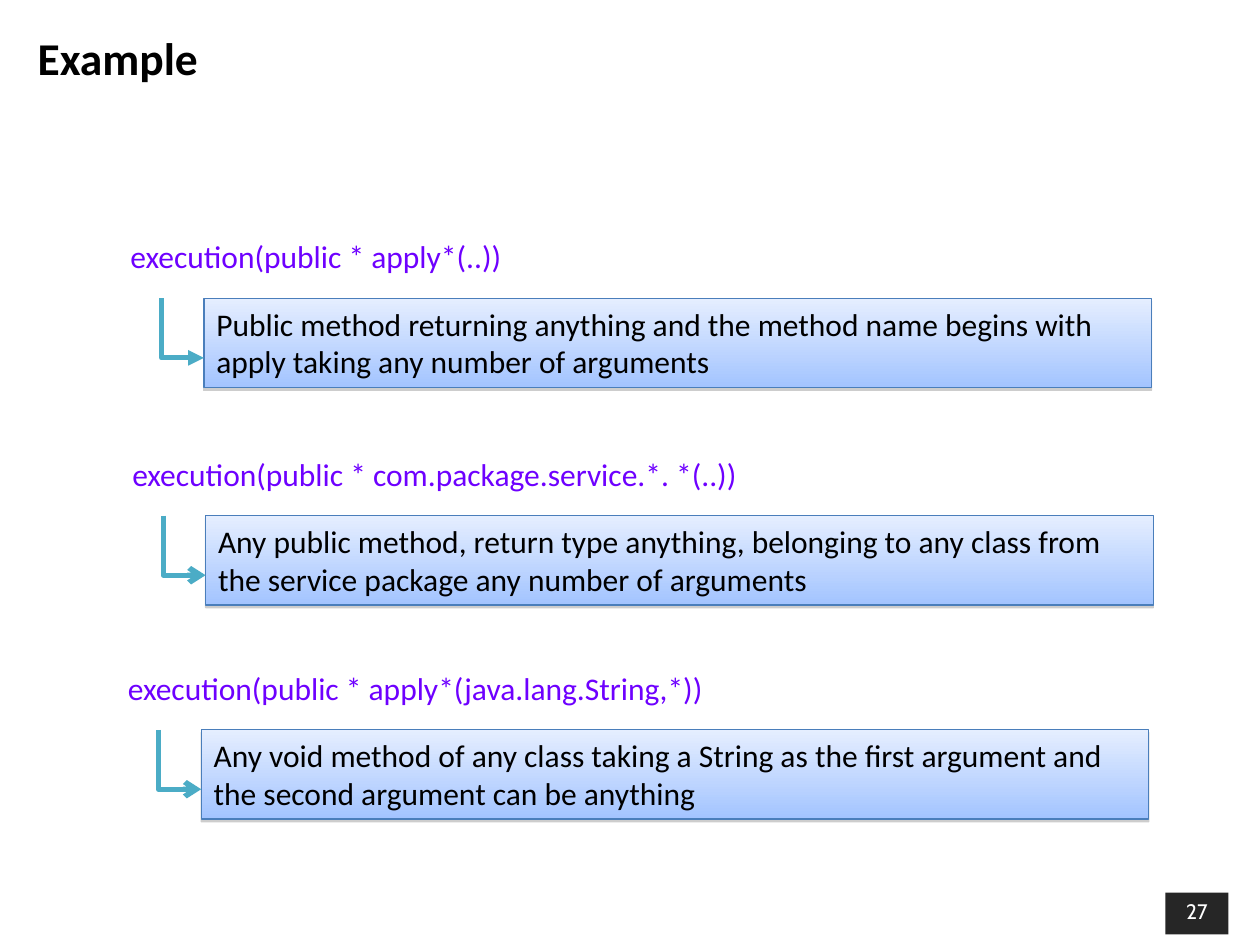
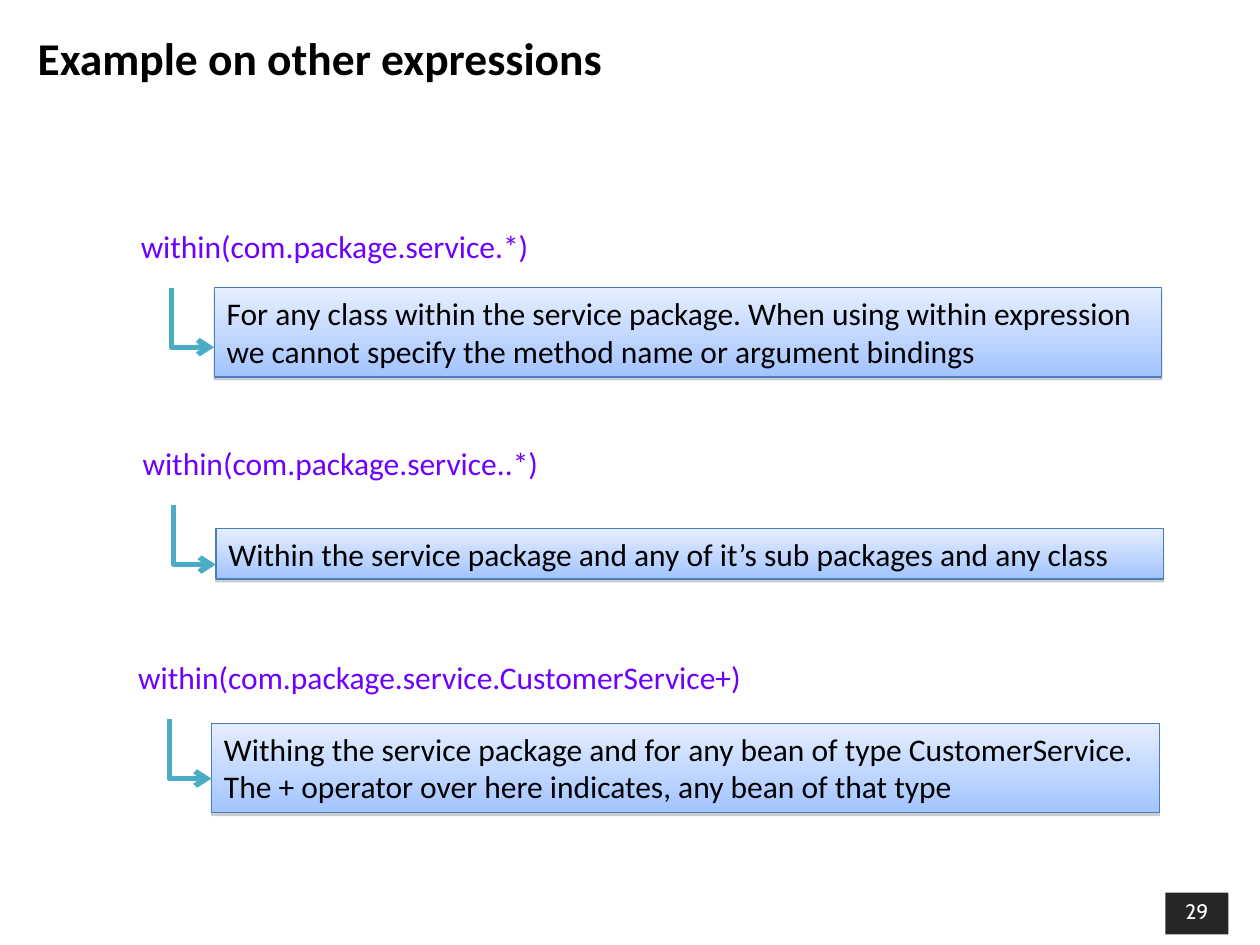
from dataclasses import dataclass
from typing import Any

from lxml.etree import SubElement
from pptx import Presentation
from pptx.dml.color import RGBColor as Rgb
from pptx.enum.shapes import MSO_CONNECTOR as Link, MSO_SHAPE as Preset
from pptx.enum.text import MSO_ANCHOR as Anchor, PP_ALIGN as Align
from pptx.oxml.ns import qn
from pptx.util import Pt


# Colours, fonts and type sizes
@dataclass(frozen=True)
class Theme:
    ink: Rgb = Rgb(0, 0, 0)
    expression: Rgb = Rgb.from_string("6E00FF")
    box_top: Rgb = Rgb.from_string("E5EEFF")
    box_bottom: Rgb = Rgb.from_string("A3C4FF")
    box_edge: Rgb = Rgb.from_string("4A7EBB")
    box_shadow: str = "808080"
    arrow: Rgb = Rgb.from_string("4BACC6")
    badge: Rgb = Rgb.from_string("262626")
    badge_text: Rgb = Rgb(255, 255, 255)
    font: str = "Calibri"
    badge_font: str = "Cabin"
    title_size: float = 26
    body_size: float = 18
    badge_size: float = 12


@dataclass(frozen=True)
class Area:
    left: float
    top: float
    width: float
    height: float

    def points(self) -> tuple[Pt, Pt, Pt, Pt]:
        return Pt(self.left), Pt(self.top), Pt(self.width), Pt(self.height)


@dataclass(frozen=True)
class Example:
    expression: str
    meaning: str
    lines: int = 2
    box_drop: float = 38.5
    head: str = "arrow"


@dataclass(frozen=True)
class Page:
    title: str
    number: int
    shift: tuple[float, float]
    examples: tuple[Example, ...]


THEME = Theme()
TITLE_AREA = Area(14.4, 10.8, 694.8, 43.9)
BADGE_AREA = Area(666, 510, 36, 24)
ROW_ORIGINS = ((67.5, 132), (68.5, 256.2), (66, 378.5))
LABEL_WIDTH, LABEL_HEIGHT = 590.4, 29
BOX_INDENT, BOX_WIDTH = 49, 541.5
LINE_HEIGHT, BOX_PADDING = 22, 7
ARROW_DROP, ARROW_WIDTH, ARROW_HEIGHT = 38.5, 24.2, 34

PAGES = (
    Page("Example", 27, (0, 0), (
        Example("execution(public * apply*(..))",
                "Public method returning anything and the method name begins "
                "with apply taking any number of arguments", head="triangle"),
        Example("execution(public * com.package.service.*. *(..))",
                "Any public method, return type anything, belonging to any class "
                "from the service package any number of arguments"),
        Example("execution(public * apply*(java.lang.String,*))",
                "Any void method of any class taking a String as the first "
                "argument and the second argument can be anything"),
    )),
    Page("Example on other expressions", 29, (5.9, -6.1), (
        Example("within(com.package.service.*)",
                "For any class within the service package. When using within "
                "expression we cannot specify the method name or argument bindings"),
        Example("within(com.package.service..*)",
                "Within the service package and any of it’s sub packages and "
                "any class", lines=1, box_drop=51.8),
        Example("within(com.package.service.CustomerService+)",
                "Withing the service package and for any bean of type "
                "CustomerService. The + operator over here indicates, any bean "
                "of that type", box_drop=41),
    )),
)


# Text shared by all parts
def write(holder: Any, text: str, color: Rgb, size: float = THEME.body_size,
          font: str = THEME.font, bold: bool = False, align: Align = Align.LEFT,
          anchor: Anchor = Anchor.TOP) -> None:
    frame = holder.text_frame
    frame.word_wrap = True
    frame.vertical_anchor = anchor
    paragraph = frame.paragraphs[0]
    paragraph.alignment = align
    run = paragraph.add_run()
    run.text = text
    run.font.color.rgb = color
    for key, value in {"name": font, "size": Pt(size), "bold": bold}.items():
        setattr(run.font, key, value)


def draw_title(slide: Any, title: str) -> None:
    heading = slide.shapes.add_textbox(*TITLE_AREA.points())
    write(heading, title, THEME.ink, THEME.title_size, bold=True, anchor=Anchor.MIDDLE)


def draw_badge(slide: Any, number: int) -> None:
    badge = slide.shapes.add_shape(Preset.RECTANGLE, *BADGE_AREA.points())
    badge.shadow.inherit = False
    badge.fill.solid()
    badge.fill.fore_color.rgb = THEME.badge
    badge.line.fill.background()
    write(badge, str(number), THEME.badge_text, THEME.badge_size,
          THEME.badge_font, align=Align.CENTER)


# Gradient box with a thin shadow below
def draw_meaning(slide: Any, area: Area, text: str) -> None:
    box = slide.shapes.add_shape(Preset.RECTANGLE, *area.points())
    box.fill.gradient()
    box.fill.gradient_angle = 270
    stops = zip(box.fill.gradient_stops, (THEME.box_top, THEME.box_bottom))
    for position, (stop, color) in enumerate(stops):
        stop.position = position
        stop.color.rgb = color
    box.line.color.rgb = THEME.box_edge
    box.line.width = Pt(0.75)
    box.shadow.inherit = False
    effects = box._element.spPr.find(qn("a:effectLst"))
    shadow = SubElement(effects, qn("a:outerShdw"), blurRad="0", dist=str(Pt(1.6)),
                        dir="5400000", rotWithShape="0")
    tint = SubElement(shadow, qn("a:srgbClr"), val=THEME.box_shadow)
    SubElement(tint, qn("a:alpha"), val="38000")
    write(box, text, THEME.ink)


# One-bend arrow running down, then right; its frame is turned by 270 degrees
def draw_arrow(slide: Any, area: Area, head: str) -> None:
    turn = (area.height - area.width) / 2
    left, top = area.left - turn, area.top + turn
    arrow = slide.shapes.add_connector(
        Link.ELBOW, Pt(left + area.height), Pt(top), Pt(left), Pt(top + area.width))
    arrow.line.color.rgb = THEME.arrow
    arrow.line.width = Pt(3)
    outline = arrow._element.spPr
    outline.find(qn("a:xfrm")).set("rot", "16200000")
    outline.find(qn("a:prstGeom")).set("prst", "bentConnector2")
    SubElement(outline.find(qn("a:ln")), qn("a:tailEnd"), type=head)
    SubElement(outline, qn("a:effectLst"))


def draw_example(slide: Any, example: Example, left: float, top: float) -> None:
    label = slide.shapes.add_textbox(*Area(left, top, LABEL_WIDTH, LABEL_HEIGHT).points())
    write(label, example.expression, THEME.expression)
    box_left = left + BOX_INDENT
    box_height = example.lines * LINE_HEIGHT + BOX_PADDING
    draw_meaning(slide, Area(box_left, top + example.box_drop, BOX_WIDTH, box_height),
                 example.meaning)
    draw_arrow(slide, Area(box_left - ARROW_WIDTH, top + ARROW_DROP,
                           ARROW_WIDTH, ARROW_HEIGHT), example.head)


def main() -> None:
    deck = Presentation()
    for key, value in {"slide_width": Pt(720), "slide_height": Pt(540)}.items():
        setattr(deck, key, value)
    for page in PAGES:
        slide = deck.slides.add_slide(deck.slide_layouts[6])
        draw_badge(slide, page.number)
        draw_title(slide, page.title)
        right, down = page.shift
        for example, (left, top) in zip(page.examples, ROW_ORIGINS):
            draw_example(slide, example, left + right, top + down)
    deck.save("out.pptx")


if __name__ == "__main__":
    main()
